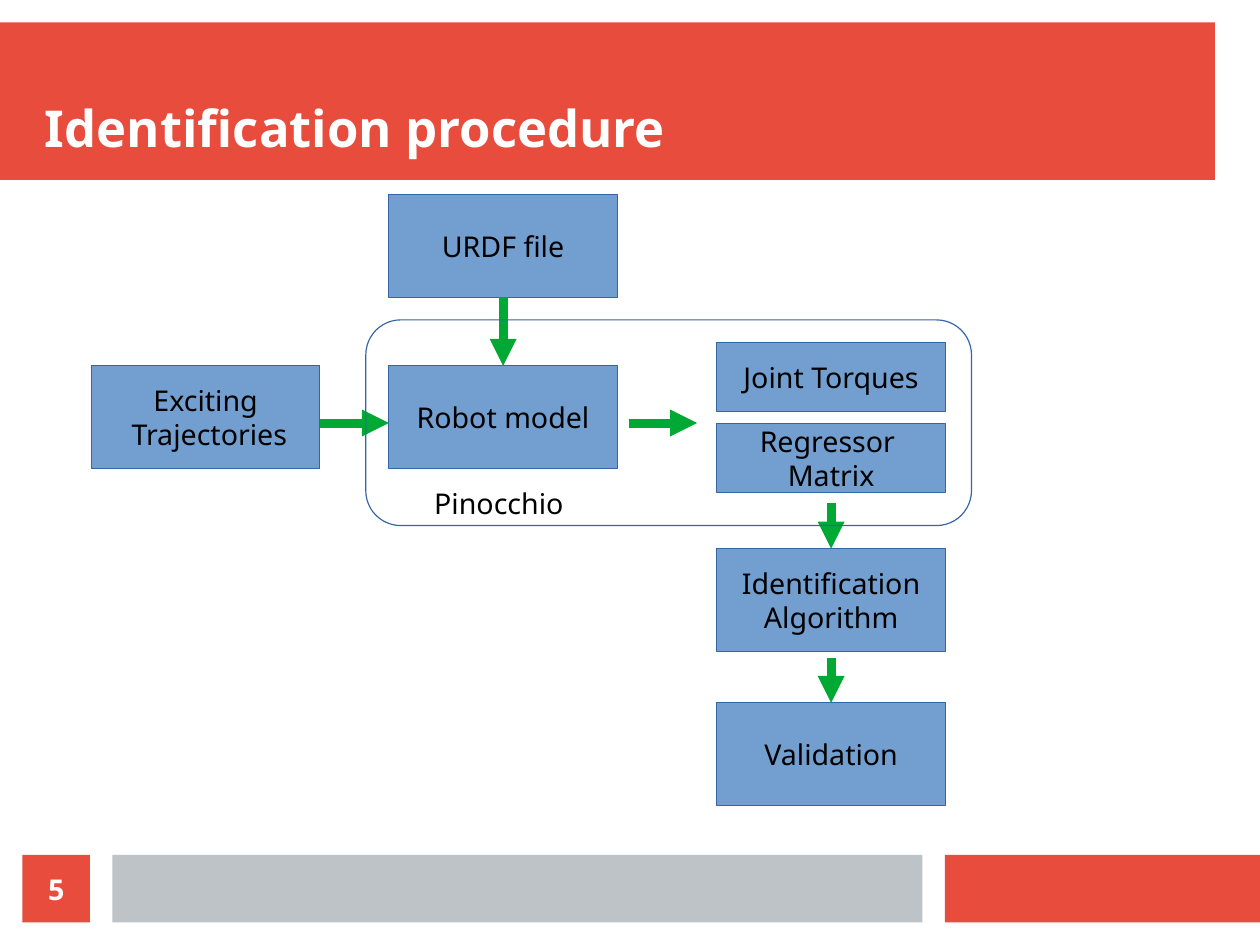
from lxml import etree
from pptx import Presentation
from pptx import util as u
from pptx.dml.color import RGBColor
from pptx.enum import shapes, text
from pptx.oxml.ns import qn

PX = 3600
RED, GREY, BLUE, EDGE, GREEN = "E74C3C", "BDC3C7", "729FCF", "3465A4", "00A933"


def paint(target, color):
    if color is None:
        target.background()
    else:
        target.solid()
        target.fore_color.rgb = RGBColor.from_string(color)


def write(shape, words, size=18, color="000000", bold=False, align=text.PP_ALIGN.CENTER,
          anchor=text.MSO_ANCHOR.MIDDLE, inset=(25, 13), wrap=False):
    frame = shape.text_frame
    frame.text = words
    frame.word_wrap = wrap
    frame.auto_size = text.MSO_AUTO_SIZE.NONE
    frame.vertical_anchor = anchor
    frame.margin_left = frame.margin_right = inset[0] * PX
    frame.margin_top = frame.margin_bottom = inset[1] * PX
    for paragraph in frame.paragraphs:
        paragraph.alignment = align
        for run in paragraph.runs:
            run.font.name = "Noto Sans"
            run.font.size = u.Pt(size)
            run.font.bold = bold
            paint(run.font.fill, color)


deck = Presentation()
deck.slide_width, deck.slide_height = 2800 * PX, 2100 * PX
slide = deck.slides.add_slide(deck.slide_layouts[5])

R, ROUND = shapes.MSO_SHAPE.RECTANGLE, shapes.MSO_SHAPE.ROUNDED_RECTANGLE
header = (0, 50, 2700, 350)
footer_right = (2100, 1900, 700, 150)
footer_middle = (250, 1900, 1800, 150)
page_badge = (50, 1900, 150, 150)
for area, color in [(header, RED), (footer_right, RED), (footer_middle, GREY), (page_badge, RED)]:
    bar = slide.shapes.add_shape(R, *(n * PX for n in area))
    bar.shadow.inherit = False
    paint(bar.fill, color)
    paint(bar.line.fill, None)
    if area == page_badge:
        write(bar, "5", color="FFFFFF", bold=True, inset=(0, 0))

title = slide.shapes.title
title.left, title.top, title.width, title.height = (n * PX for n in (100, 100, 2600, 250))
write(title, "Identification procedure", size=32, color="FFFFFF", bold=True, wrap=True,
      align=text.PP_ALIGN.LEFT, anchor=text.MSO_ANCHOR.BOTTOM, inset=(0, 0))
title.element.getparent().append(title.element)

steps = {}
for label, left, top, height in [
    ("Exciting\n Trajectories", 203, 813, 229),
    ("URDF file", 864, 432, 229),
    ("Robot model", 864, 813, 229),
    ("Joint Torques", 1593, 762, 152),
    ("Regressor \nMatrix", 1593, 942, 152),
    ("Identification\nAlgorithm", 1593, 1219, 229),
    ("Validation", 1593, 1562, 229),
]:
    step = slide.shapes.add_shape(R, left * PX, top * PX, 508 * PX, height * PX)
    step.shadow.inherit = False
    paint(step.fill, BLUE)
    paint(step.line.fill, EDGE)
    step.line.width = 0
    write(step, label)
    steps[label] = step

for x1, y1, x2, y2, source, target in [
    (1118, 661, 1118, 813, "URDF file", "Robot model"),
    (711, 940, 864, 940, None, None),
    (1397, 940, 1549, 940, None, None),
    (1847, 1118, 1847, 1219, None, "Identification\nAlgorithm"),
    (1847, 1463, 1847, 1562, None, "Validation"),
]:
    arrow = slide.shapes.add_connector(shapes.MSO_CONNECTOR.STRAIGHT, x1 * PX, y1 * PX, x2 * PX, y2 * PX)
    if source:
        arrow.begin_connect(steps[source], 2)
    if target:
        arrow.end_connect(steps[target], 0)
    paint(arrow.line.fill, GREEN)
    arrow.line.width = u.Pt(5.67)
    etree.SubElement(arrow.line._get_or_add_ln(), qn("a:tailEnd"), type="triangle")
    etree.SubElement(arrow.element.spPr, qn("a:effectLst"))

library = slide.shapes.add_shape(ROUND, 813 * PX, 711 * PX, 1346 * PX, 457 * PX)
library.shadow.inherit = False
library.adjustments[0] = 0.17
paint(library.fill, None)
paint(library.line.fill, EDGE)
library.line.width = 0

library_name = slide.shapes.add_textbox(940 * PX, 1067 * PX, 483 * PX, 112 * PX)
write(library_name, "Pinocchio", align=text.PP_ALIGN.LEFT, anchor=text.MSO_ANCHOR.TOP, wrap=True)

deck.save("out.pptx")
